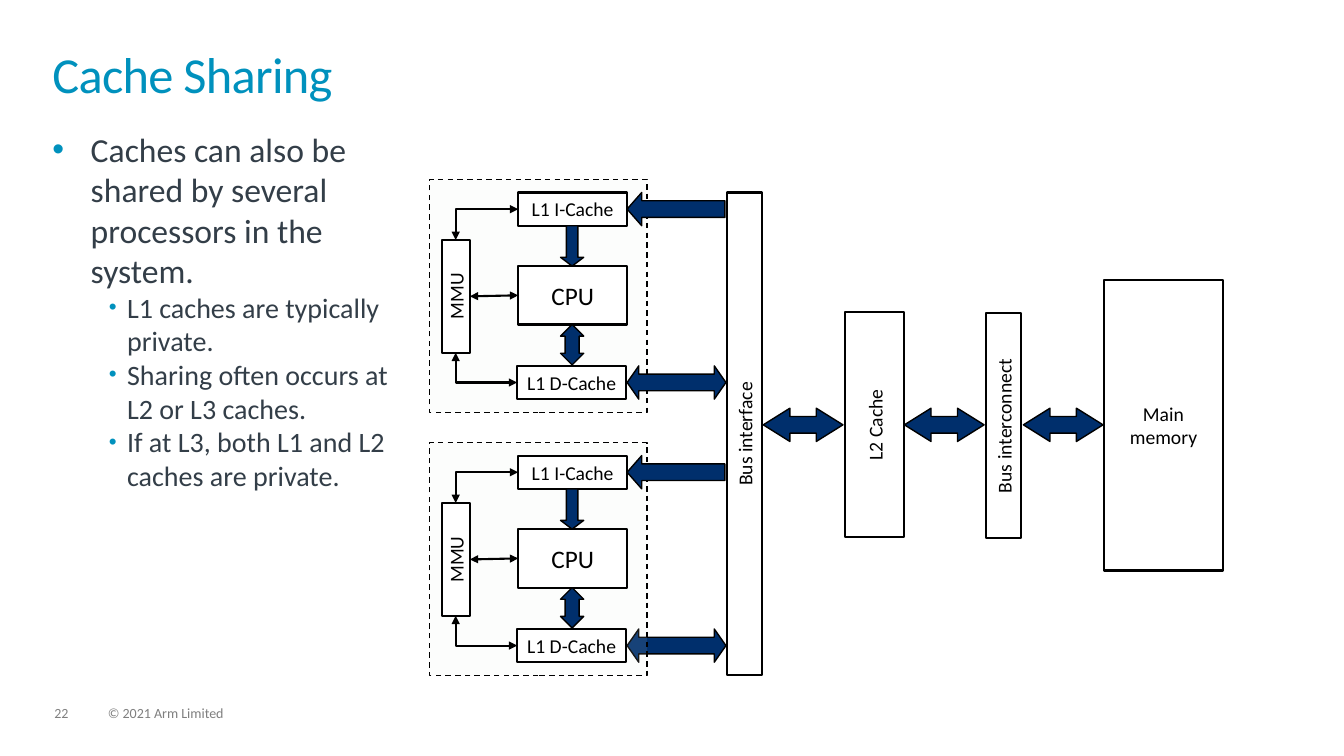
from dataclasses import dataclass

from lxml import etree
from pptx import Presentation
from pptx.dml.color import RGBColor
from pptx.enum.dml import MSO_LINE
from pptx.enum.shapes import MSO_CONNECTOR, MSO_SHAPE
from pptx.enum.text import MSO_ANCHOR, MSO_AUTO_SIZE, PP_ALIGN
from pptx.oxml.ns import qn
from pptx.util import Inches, Pt

RECTANGLE = MSO_SHAPE.RECTANGLE
LEFT_ARROW = MSO_SHAPE.LEFT_ARROW
DOWN_ARROW = MSO_SHAPE.DOWN_ARROW
LEFT_RIGHT_ARROW = MSO_SHAPE.LEFT_RIGHT_ARROW
UP_DOWN_ARROW = MSO_SHAPE.UP_DOWN_ARROW
STRAIGHT, ELBOW = MSO_CONNECTOR.STRAIGHT, MSO_CONNECTOR.ELBOW
TOP, LEFT, BOTTOM, RIGHT = range(4)  # connection sites of a rectangle

FONT = "Calibri"
COLORS = {
    "title": "0091BD",
    "body": "333E48",
    "footer": "7F7F7F",
    "ink": "000000",
    "box": "FFFFFF",
    "panel": "E5ECEB",
    "arrow": "002F6C",
}
FRAME_FORMAT = {
    "margin_left": 0, "margin_right": 0, "margin_top": 0, "margin_bottom": 0,
    "word_wrap": True, "auto_size": MSO_AUTO_SIZE.NONE,
}
CLUSTER_STEP = 2.61


@dataclass
class Box:
    text: str
    left: float
    top: float
    width: float
    height: float
    size: int = 14
    upright: bool = False
    filled: bool = True


@dataclass
class Arrow:
    kind: MSO_SHAPE
    left: float
    top: float
    width: float
    height: float
    head: float


@dataclass
class Bullet:
    text: str
    size: int
    margin: float
    hanging: float
    level: int = 0
    percent: int = 100


CLUSTER_BOXES = {
    "cpu": Box("CPU", 5.14, 2.64, 1.08, 0.58, size=18),
    "instructions": Box("L1 I-Cache", 5.14, 1.91, 1.08, 0.33),
    "data": Box("L1 D-Cache", 5.13, 3.63, 1.08, 0.33),
    "mmu": Box("MMU", 4.38, 2.38, 0.28, 1.12, upright=True),
}
CLUSTER_LINKS = [
    (STRAIGHT, "mmu", RIGHT, "cpu", LEFT),
    (ELBOW, "instructions", LEFT, "mmu", TOP),
    (ELBOW, "data", LEFT, "mmu", BOTTOM),
]
CLUSTER_ARROWS = [
    Arrow(DOWN_ARROW, 5.56, 2.24, 0.23, 0.4, 0.38),
    Arrow(UP_DOWN_ARROW, 5.56, 3.22, 0.23, 0.4, 0.6),
]
INSTRUCTION_ARROW = Arrow(LEFT_ARROW, 6.22, 1.91, 0.97, 0.33, 0.44)
DATA_ARROW = Arrow(LEFT_RIGHT_ARROW, 6.22, 3.63, 0.98, 0.33, 0.35)
MEMORY_BOXES = [
    Box("Bus interface", 7.21, 1.91, 0.35, 4.79, upright=True),
    Box("L2 Cache", 8.38, 3.1, 0.59, 2.23, upright=True, filled=False),
    Box("Bus interconnect", 9.78, 3.11, 0.35, 2.23, upright=True, filled=False),
    Box("Main\nmemory", 10.95, 2.78, 1.18, 2.88, filled=False),
]
MEMORY_ARROWS = [
    Arrow(LEFT_RIGHT_ARROW, left, 4.05, 0.79, 0.33, 0.8)
    for left in (7.57, 8.97, 10.15)
]
BULLETS = [
    Bullet("Caches can also be shared by several processors in the system.",
           24, 0.38, 0.38),
] + [
    Bullet(text, 20, 0.74, 0.18, level=1, percent=80)
    for text in (
        "L1 caches are typically private.",
        "Sharing often occurs at L2 or L3 caches.",
        "If at L3, both L1 and L2 caches are private.",
    )
]


def rgb(name: str) -> RGBColor:
    return RGBColor.from_string(COLORS[name])


def set_attributes(target, values: dict) -> None:
    for name, value in values.items():
        setattr(target, name, value)


def set_font(font, size: int, color: str) -> None:
    set_attributes(font, {"name": FONT, "size": Pt(size), "bold": False})
    font.color.rgb = rgb(color)


def place(shape, left: float, top: float, width: float, height: float) -> None:
    names = ("left", "top", "width", "height")
    lengths = map(Inches, (left, top, width, height))
    set_attributes(shape, dict(zip(names, lengths)))


def add_preset(slide, kind, left, top, width, height, fill, line_width=1.0):
    shape = slide.shapes.add_shape(
        kind, *map(Inches, (left, top, width, height)))
    shape.shadow.inherit = False
    if fill:
        shape.fill.solid()
        shape.fill.fore_color.rgb = rgb(fill)
    else:
        shape.fill.background()
    shape.line.color.rgb = rgb("ink")
    shape.line.width = Pt(line_width)
    return shape


def add_box(slide, box: Box, shift: float = 0):
    shape = add_preset(slide, RECTANGLE, box.left, box.top + shift, box.width,
                       box.height, "box" if box.filled else None, 1.5)
    frame = shape.text_frame
    set_attributes(frame, FRAME_FORMAT)
    frame.vertical_anchor = MSO_ANCHOR.MIDDLE
    frame.text = box.text
    for paragraph in frame.paragraphs:
        paragraph.alignment = PP_ALIGN.CENTER
        set_font(paragraph.runs[0].font, box.size, "ink")
    if box.upright:
        shape.element.find(".//" + qn("a:bodyPr")).set("vert", "vert270")
    return shape


def add_arrow(slide, arrow: Arrow, shift: float = 0) -> None:
    shape = add_preset(slide, arrow.kind, arrow.left, arrow.top + shift,
                       arrow.width, arrow.height, "arrow")
    shape.adjustments[0] = 0.5
    shape.adjustments[1] = arrow.head


def add_link(slide, kind, start, start_site: int, end, end_site: int) -> None:
    """Join two boxes by a line with an arrowhead at both ends."""
    connector = slide.shapes.add_connector(kind, 0, 0, 0, 0)
    connector.begin_connect(start, start_site)
    connector.end_connect(end, end_site)
    connector.line.color.rgb = rgb("ink")
    connector.line.width = Pt(1.5)
    properties = connector.element.spPr
    if kind == ELBOW:
        properties.find(qn("a:prstGeom")).set("prst", "bentConnector2")
    line = properties.find(qn("a:ln"))
    for end_name in ("a:headEnd", "a:tailEnd"):
        etree.SubElement(line, qn(end_name), type="triangle")
    etree.SubElement(properties, qn("a:effectLst"))


def add_cluster(slide, shift: float) -> None:
    """Draw one processor with its private caches."""
    panel = add_preset(slide, RECTANGLE, 4.26, 1.78 + shift, 2.16, 2.31, "panel")
    panel.line.dash_style = MSO_LINE.DASH
    color = panel.element.spPr.find(qn("a:solidFill"))[0]
    etree.SubElement(color, qn("a:alpha"), val="10000")
    boxes = {name: add_box(slide, box, shift)
             for name, box in CLUSTER_BOXES.items()}
    for kind, start, start_site, end, end_site in CLUSTER_LINKS:
        add_link(slide, kind, boxes[start], start_site, boxes[end], end_site)
    for arrow in CLUSTER_ARROWS:
        add_arrow(slide, arrow, shift)


def add_text_frame(slide, left, top, width, height):
    text_box = slide.shapes.add_textbox(
        *map(Inches, (left, top, width, height)))
    set_attributes(text_box.text_frame, FRAME_FORMAT)
    return text_box.text_frame


def add_footer(slide, text: str, left: float, width: float) -> None:
    paragraph = add_text_frame(slide, left, 7.01, width, 0.15).paragraphs[0]
    paragraph.text = text
    paragraph.line_spacing = 0.9
    set_font(paragraph.runs[0].font, 10, "footer")


def add_bullets(slide) -> None:
    frame = add_text_frame(slide, 0.52, 1.28, 3.35, 5.41)
    for index, bullet in enumerate(BULLETS):
        paragraph = frame.add_paragraph() if index else frame.paragraphs[0]
        paragraph.text = bullet.text
        paragraph.level = bullet.level
        properties = paragraph._p.get_or_add_pPr()
        properties.set("marL", str(Inches(bullet.margin)))
        properties.set("indent", str(-Inches(bullet.hanging)))
        color = etree.SubElement(properties, qn("a:buClr"))
        etree.SubElement(color, qn("a:srgbClr"), val=COLORS["title"])
        etree.SubElement(properties, qn("a:buSzPct"),
                         val=str(bullet.percent * 1000))
        etree.SubElement(properties, qn("a:buFont"), typeface="Arial")
        etree.SubElement(properties, qn("a:buChar"), char="•")
        set_font(paragraph.runs[0].font, bullet.size, "body")


def format_title(title) -> None:
    place(title, 0.52, 0.52, 12.28, 0.72)
    title.text = "Cache Sharing"
    set_attributes(title.text_frame, FRAME_FORMAT)
    title.text_frame.vertical_anchor = MSO_ANCHOR.TOP
    paragraph = title.text_frame.paragraphs[0]
    set_attributes(paragraph, {"alignment": PP_ALIGN.LEFT, "line_spacing": 0.85})
    run = paragraph.runs[0]
    set_font(run.font, 36, "title")
    run._r.get_or_add_rPr().set("spc", "-50")


def main() -> None:
    presentation = Presentation()
    presentation.slide_width = Inches(13.33)
    presentation.slide_height = Inches(7.5)
    slide = presentation.slides.add_slide(presentation.slide_layouts[5])
    format_title(slide.shapes.title)
    add_bullets(slide)
    add_footer(slide, "22", 0.54, 0.34)
    add_footer(slide, "© 2021 Arm Limited", 1.07, 5.07)

    add_cluster(slide, 0)
    for box in MEMORY_BOXES:
        add_box(slide, box)
    for arrow in MEMORY_ARROWS:
        add_arrow(slide, arrow)
    add_arrow(slide, INSTRUCTION_ARROW)
    add_arrow(slide, DATA_ARROW, CLUSTER_STEP)
    add_cluster(slide, CLUSTER_STEP)
    add_arrow(slide, DATA_ARROW)
    add_arrow(slide, INSTRUCTION_ARROW, CLUSTER_STEP)
    presentation.save("out.pptx")


if __name__ == "__main__":
    main()
